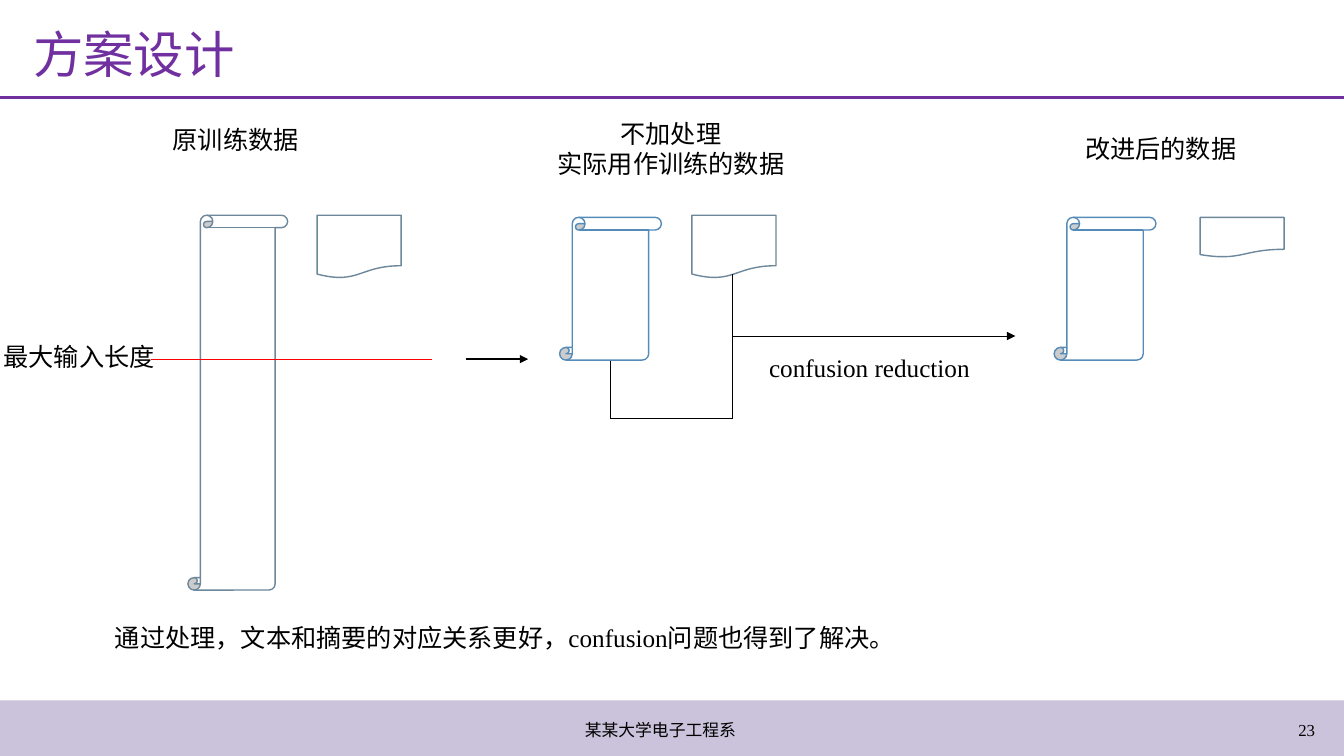
"""Builds the slide that compares training data before and after confusion reduction."""
from lxml import etree
from pptx import Presentation
from pptx.dml.color import RGBColor
from pptx.enum.shapes import MSO_CONNECTOR as Connector, MSO_SHAPE as Preset
from pptx.enum.text import MSO_ANCHOR as Anchor, PP_ALIGN as Align
from pptx.oxml.ns import qn
from pptx.util import Emu, Pt

PX = 9525
WIDTH, HEIGHT = 1280, 720
FONT = "Times New Roman"
COLORS = {
    "purple": "7030A0", "band": "735B9F", "white": "FFFFFF", "black": "000000",
    "red": "FF0000", "slate": "6D879B", "blue": "558BB8",
}

TITLE = ("方案设计", (22, 17, 1215, 75))
BAND = (0, 667, WIDTH, HEIGHT - 667)
BAND_OPACITY = 37
RULE_Y = 93
LABELS = [
    (["最大输入长度"], (-6, 320, 179, 38), Align.LEFT),
    (["原训练数据"], (155, 114, 238, 38), Align.LEFT),
    (["不加处理", "实际用作训练的数据"], (520, 108, 238, 68), Align.CENTER),
    (["改进后的数据"], (1024, 122, 238, 38), Align.LEFT),
    (["confusion reduction"], (723, 331, 244, 38), Align.LEFT),
    (["通过处理，文本和摘要的对应关系更好，confusion问题也得到了解决。"],
     (100, 588, 1064, 38), Align.LEFT),
]
FOOTERS = [
    (["某某大学电子工程系"], (532, 676, 194, 38), Align.CENTER),
    (["23"], (1192, 676, 70, 38), Align.RIGHT),
]
SCROLLS = [
    ((179, 205, 95, 357), "slate"),
    ((533, 207, 97, 136), "blue"),
    ((1004, 207, 97, 136), "blue"),
]
SUMMARIES = [(302, 205, 80, 60), (659, 205, 80, 60), (1143, 207, 80, 38)]

CUT_Y = 342
TEXT_X, SUMMARY_X = 581, 698
MERGE_Y, JOIN_Y = 320, 398
LINES = [
    ((0, RULE_Y), (WIDTH, RULE_Y), "purple", 2, False),
    ((144, CUT_Y), (411, CUT_Y), "red", 0.5, False),
    ((444, CUT_Y), (503, CUT_Y), "black", 1, True),
    ((SUMMARY_X, 261), (SUMMARY_X, MERGE_Y), "black", 0.5, False),
    ((SUMMARY_X, MERGE_Y), (SUMMARY_X, JOIN_Y), "black", 0.5, False),
    ((TEXT_X, 344), (TEXT_X, JOIN_Y), "black", 0.5, False),
    ((TEXT_X, JOIN_Y), (SUMMARY_X, JOIN_Y), "black", 0.5, False),
    ((SUMMARY_X, MERGE_Y), (967, MERGE_Y), "black", 0.5, True),
]


def emu(lengths):
    return [Emu(length * PX) for length in lengths]


def color(name):
    return RGBColor.from_string(COLORS[name])


def write(frame, lines, size, align, ink="black"):
    frame.word_wrap = True
    for index, line in enumerate(lines):
        para = frame.add_paragraph() if index else frame.paragraphs[0]
        para.alignment = align
        span = para.add_run()
        span.text = line
        span.font.name = FONT
        span.font.size = Pt(size)
        span.font.color.rgb = color(ink)


def add_label(page, lines, place, align, size, anchor):
    box = page.shapes.add_textbox(*emu(place))
    box.text_frame.vertical_anchor = anchor
    write(box.text_frame, lines, size, align)


def add_shape(page, preset, place, fill, outline=None):
    shape = page.shapes.add_shape(preset, *emu(place))
    shape.shadow.inherit = False
    shape.fill.solid()
    shape.fill.fore_color.rgb = color(fill)
    if outline:
        shape.line.color.rgb = color(outline)
        shape.line.width = Pt(1)
    else:
        shape.line.fill.background()
    return shape


def add_line(page, start, end, ink, weight, arrow):
    line = page.shapes.add_connector(Connector.STRAIGHT, *emu(start + end))
    line.line.color.rgb = color(ink)
    line.line.width = Pt(weight)
    properties = line.element.spPr
    if arrow:
        etree.SubElement(properties.find(qn("a:ln")), qn("a:tailEnd"), type="triangle")
    etree.SubElement(properties, qn("a:effectLst"))


def add_title(page):
    text, place = TITLE
    title = page.shapes.title
    title.left, title.top, title.width, title.height = emu(place)
    title.text_frame.vertical_anchor = Anchor.MIDDLE
    write(title.text_frame, [text], 36, Align.LEFT, "purple")
    title.text_frame.paragraphs[0].line_spacing = 0.9


def main():
    deck = Presentation()
    deck.slide_width, deck.slide_height = emu((WIDTH, HEIGHT))
    page = deck.slides.add_slide(deck.slide_layouts[5])

    band = add_shape(page, Preset.RECTANGLE, BAND, "band")
    tint = band.element.spPr.find(qn("a:solidFill"))[0]
    etree.SubElement(tint, qn("a:alpha"), val=str(BAND_OPACITY * 1000))
    add_title(page)

    for place in SUMMARIES:
        add_shape(page, Preset.FLOWCHART_DOCUMENT, place, "white", "slate")
    for place, outline in SCROLLS:
        add_shape(page, Preset.VERTICAL_SCROLL, place, "white", outline)
    for line in LINES:
        add_line(page, *line)
    for label in LABELS:
        add_label(page, *label, 18, Anchor.TOP)
    for footer in FOOTERS:
        add_label(page, *footer, 12, Anchor.MIDDLE)

    deck.save("out.pptx")


if __name__ == "__main__":
    main()
